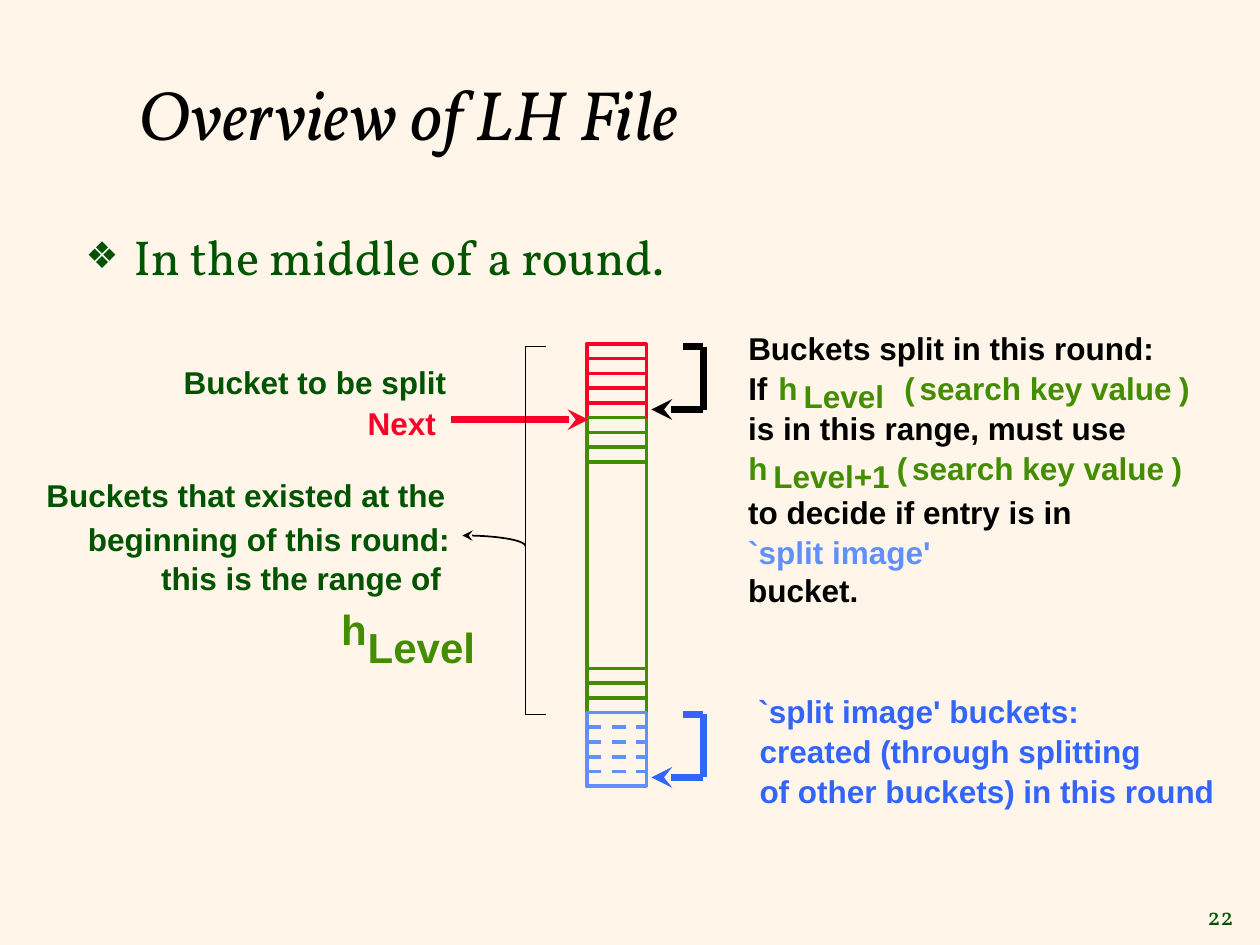
from dataclasses import dataclass
from math import cos, pi, sin

from pptx import Presentation
from pptx.dml.color import RGBColor
from pptx.enum.dml import MSO_LINE_DASH_STYLE as Dash
from pptx.enum.shapes import MSO_CONNECTOR_TYPE as Connector, MSO_SHAPE as Shape
from pptx.enum.text import MSO_ANCHOR as Anchor, MSO_AUTO_SIZE as AutoSize, PP_ALIGN as Align
from pptx.oxml.ns import qn
from pptx.util import Inches, Pt

COLS, ROWS = 20, 15


@dataclass(frozen=True)
class Theme:
    paper: str = "FFF6E9"
    ink: str = "000000"
    forest: str = "005400"
    leaf: str = "438E00"
    red: str = "FC0128"
    sky: str = "618FFD"
    blue: str = "3365FB"
    serif: str = "Vollkorn"
    sans: str = "Arial"
    title: int = 40
    body: int = 28
    big: int = 24
    label: int = 18
    number: int = 14
    thin: int = 1
    rule: int = 2
    thick: int = 4


THEME = Theme()


class SlideBuilder:
    def __init__(self, prs, theme):
        self.theme = theme
        self.cell_w, self.cell_h = prs.slide_width / COLS, prs.slide_height / ROWS
        self.slide = prs.slides.add_slide(prs.slide_layouts[1])
        fill = self.slide.background.fill
        fill.solid()
        fill.fore_color.rgb = RGBColor.from_string(theme.paper)

    def x(self, col):
        return round(col * self.cell_w)

    def y(self, row):
        return round(row * self.cell_h)

    def run(self, p, text, color, **font):
        r = p.add_run()
        r.text = text
        for name, value in font.items():
            setattr(r.font, name, value)
        r.font.color.rgb = RGBColor.from_string(color)

    def placeholder(self, index, box, text, color, anchor, **font):
        col, row, width, height = box
        sp = self.slide.placeholders[index]
        place = {"left": self.x(col), "top": self.y(row),
                 "width": self.x(width), "height": self.y(height)}
        for name, value in place.items():
            setattr(sp, name, value)
        tf = sp.text_frame
        tf.auto_size, tf.vertical_anchor = AutoSize.NONE, anchor
        p = tf.paragraphs[0]
        p.alignment, p.space_before = Align.LEFT, Pt(0)
        self.run(p, text, color, name=self.theme.serif, **font)
        return p

    def bullet(self, p, char, color, percent, indent):
        pPr = p._p.get_or_add_pPr()
        pPr.set("marL", str(indent))
        pPr.set("indent", str(-indent))
        clr = pPr.makeelement(qn("a:buClr"), {})
        clr.append(clr.makeelement(qn("a:srgbClr"), {"val": color}))
        pPr.append(clr)
        for tag, key, value in (("a:buSzPct", "val", str(percent * 1000)),
                                ("a:buChar", "char", char)):
            pPr.append(pPr.makeelement(qn(tag), {key: value}))

    def label(self, col, row, width, parts, height=0.8, align=Align.LEFT, **font):
        """Unwrapped text; parts are (text, color) pairs, one to a line."""
        sp = self.slide.shapes.add_textbox(self.x(col), self.y(row),
                                           self.x(width), self.y(height))
        tf = sp.text_frame
        tf.word_wrap, tf.auto_size = False, AutoSize.SHAPE_TO_FIT_TEXT
        p = tf.paragraphs[0]
        p.alignment = align
        style = {"name": self.theme.sans, "size": Pt(self.theme.label), "bold": True} | font
        for i, (text, color) in enumerate(parts):
            if i:
                p.add_line_break()
            self.run(p, text, color, **style)

    def stroke(self, sp, color, weight, dash=None, head=False):
        sp.line.color.rgb = RGBColor.from_string(color)
        sp.line.width = Pt(weight)
        if dash:
            sp.line.dash_style = dash
        if head:
            ln = sp._element.spPr.find(qn("a:ln"))
            ln.append(ln.makeelement(qn("a:headEnd"), {"type": "stealth"}))

    def line(self, start, end, color, weight, shapes=None, **style):
        (c1, r1), (c2, r2) = start, end
        sp = (shapes or self.slide.shapes).add_connector(
            Connector.STRAIGHT, self.x(c1), self.y(r1), self.x(c2), self.y(r2))
        self.stroke(sp, color, weight, **style)
        spPr = sp._element.spPr
        spPr.append(spPr.makeelement(qn("a:effectLst"), {}))

    def frame(self, col, row, width, height, color):
        sp = self.slide.shapes.add_shape(Shape.RECTANGLE, self.x(col), self.y(row),
                                         self.x(width), self.y(height))
        sp.shadow.inherit = False
        sp.fill.background()
        self.stroke(sp, color, self.theme.rule)

    def quarter_arc(self, col, row, width, height, color, steps=16):
        """Arc from top left to bottom right, with an arrowhead at its start."""
        turns = [pi / 2 * i / steps for i in range(steps + 1)]
        points = [(self.x(col + width * sin(t)), self.y(row + height * (1 - cos(t))))
                  for t in turns]
        builder = self.slide.shapes.build_freeform(*points[0])
        builder.add_line_segments(points[1:], close=False)
        sp = builder.convert_to_shape()
        sp.shadow.inherit = False
        sp.fill.background()
        self.stroke(sp, color, self.theme.thin, head=True)

    def return_bracket(self, row, color):
        """Thick bracket that leaves beside a bucket range and points back to it."""
        shapes = self.slide.shapes.add_group_shape().shapes
        left, right, tip, bottom = 10.84, 11.16, 10.34, row + 1
        for start, end, head in (((left, row), (right, row), False),
                                 ((right, row), (right, bottom), False),
                                 ((tip, bottom), (right, bottom), True)):
            self.line(start, end, color, self.theme.thick, shapes, head=head)


def add_labels(s, t):
    labels = (
        (0.54, 7.46, 6.8, "Buckets that existed at the", t.forest),
        (1.2, 8.16, 6.34, "beginning of this round:", t.forest),
        (2.36, 8.78, 4.9, "this is the range of", t.forest),
        (5.64, 6.32, 1.54, "Next", t.red),
        (2.72, 5.66, 4.76, "Bucket to be split", t.forest),
        (11.68, 5.12, 6.9, "Buckets split in this round:", t.ink),
        (11.68, 5.76, 0.84, "If", t.ink),
        (12.16, 5.76, 0.84, "h", t.leaf),
        (12.56, 5.88, 1.74, "Level", t.leaf),
        (11.68, 6.4, 6.46, "is in this range, must use", t.ink),
        (11.68, 7.03, 0.84, "h", t.leaf),
        (12.08, 7.15, 2.4, "Level+1", t.leaf),
        (11.68, 7.73, 5.74, "to decide if entry is in", t.ink),
        (11.84, 10.88, 5.7, "`split image' buckets:", t.blue),
        (11.86, 11.52, 6.52, "created (through splitting", t.blue),
        (11.86, 12.16, 7.68, "of other buckets) in this round", t.blue),
    )
    for col, row, width, text, color in labels:
        s.label(col, row, width, [(text, color)])
    for col, row in ((14.16, 5.76), (14.04, 7.03)):
        for shift, width, text in ((0, 0.6, "("), (0.24, 4.6, "search key value"),
                                   (4.36, 0.6, ")")):
            s.label(col + shift, row, width, [(text, t.leaf)])
    s.label(11.68, 8.36, 3.4, [("`split image'", t.sky), ("bucket.", t.ink)], height=1.4)
    for col, row, width, text in ((5.64, 9.76, 2.16, "Level"), (5.22, 9.48, 0.98, "h")):
        s.label(col, row, width, [(text, t.leaf)], height=1, size=Pt(t.big))


def add_buckets(s, t):
    left, top, width, height, count = 9.32, 5.46, 0.94, 7.02, 30
    pitch = height / count

    def rules(slots, color, dash=None):
        for slot in slots:
            row = top + slot * pitch
            s.line((left, row), (left + width, row), color, t.rule, dash=dash)

    sections = (
        (0, count, t.leaf, range(22, 26), None),
        (25, count, t.sky, range(26, 30), Dash.DASH),
        (0, 5, t.red, range(1, 5), None),
    )
    for first, last, color, slots, dash in sections:
        s.frame(left, top + first * pitch, width, (last - first) * pitch, color)
        rules(slots, color, dash)
    rules(range(5, 9), t.leaf)


def add_pointers(s, t):
    s.return_bracket(5.5, t.ink)
    s.return_bracket(11.34, t.blue)
    s.line((9.34, 6.66), (7.16, 6.66), t.red, t.thick, head=True)
    spine, arm, top, bottom = 8.34, 8.66, 5.5, 11.34
    for start, end in (((arm, top), (spine, top)), ((spine, top), (spine, bottom)),
                       ((arm, bottom), (spine, bottom))):
        s.line(start, end, t.ink, t.thin)
    s.quarter_arc(7.34, 8.5, 1, 0.17, t.ink)


def main():
    prs = Presentation()
    prs.slide_width, prs.slide_height = Inches(10), Inches(7.5)
    t = THEME
    s = SlideBuilder(prs, t)
    s.label(18.9, 14.2, 0.88, [("22", t.forest)], height=0.66, align=Align.RIGHT,
            name=t.serif, size=Pt(t.number), bold=False)
    s.placeholder(0, (2, 0.58, 17, 2.42), "Overview of LH File", t.ink, Anchor.MIDDLE,
                  size=Pt(t.title), italic=True)
    p = s.placeholder(1, (1.16, 3.5, 18.34, 2.16), "In the middle of a round.", t.forest,
                      Anchor.TOP, size=Pt(t.body))
    s.bullet(p, "❖", t.forest, 75, Inches(0.38))
    add_labels(s, t)
    add_buckets(s, t)
    add_pointers(s, t)
    prs.save("out.pptx")


if __name__ == "__main__":
    main()
